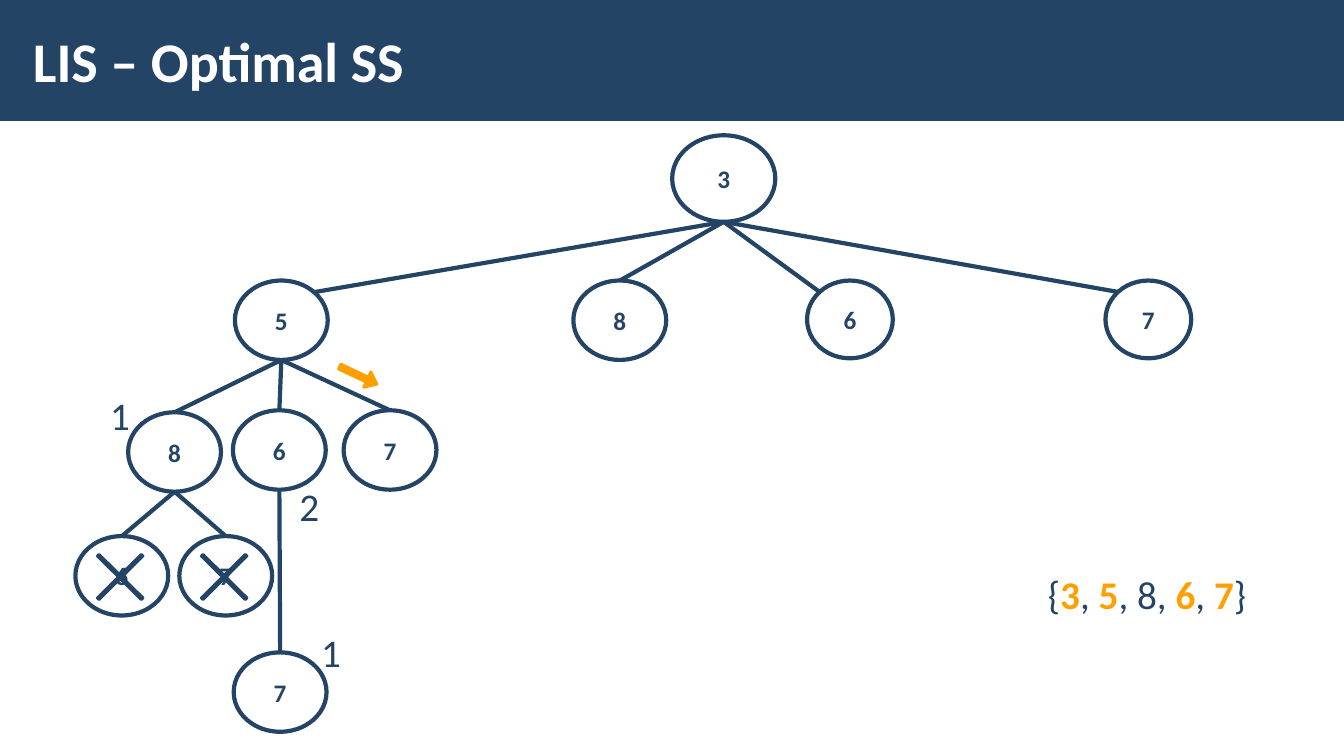
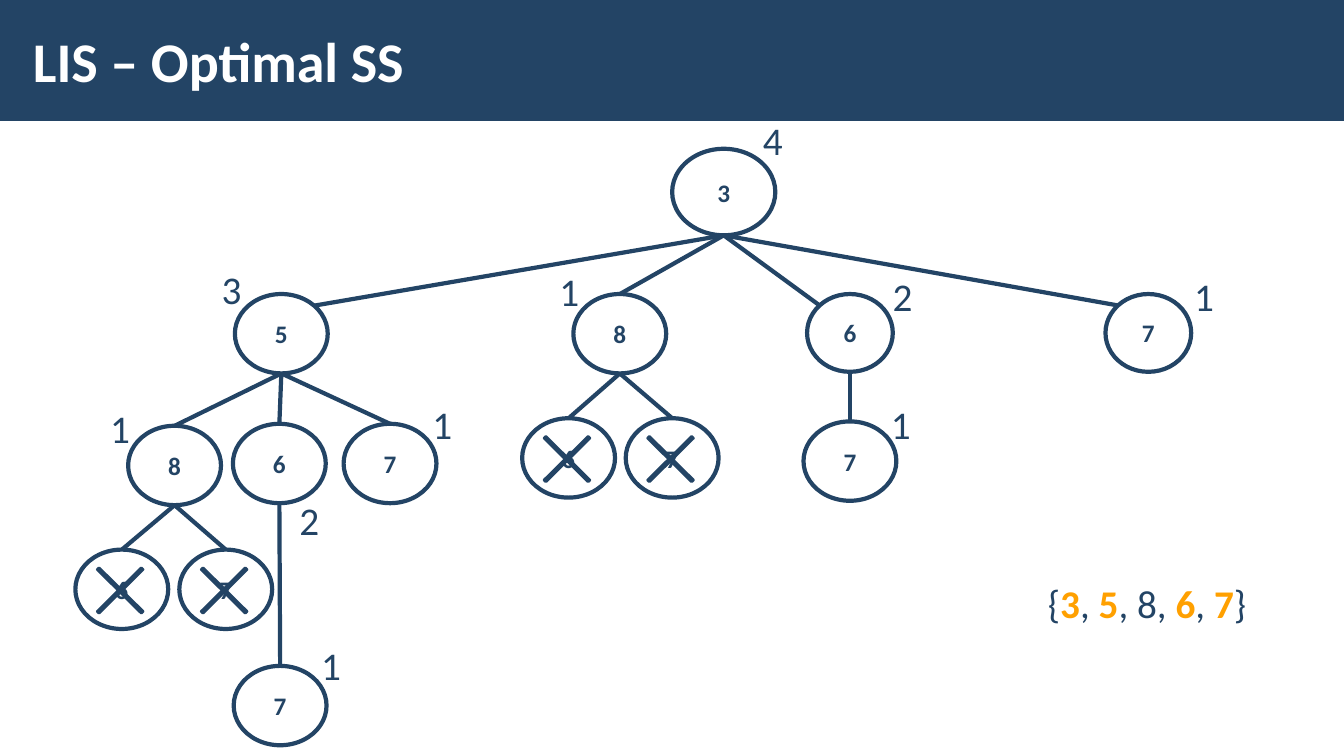
"""Build two slides that trace a longest increasing subsequence tree."""
from math import sqrt

from lxml.etree import SubElement
from pptx import Presentation
from pptx.dml.color import RGBColor
from pptx.enum.shapes import MSO_CONNECTOR, MSO_SHAPE
from pptx.enum.text import MSO_ANCHOR, PP_ALIGN
from pptx.oxml.ns import qn
from pptx.util import Cm, Pt

NAVY, ORANGE, WHITE = "234465", "FFA000", "FFFFFF"
FONT = "Calibri"
TITLE = "LIS – Optimal SS"
SEQUENCE = [("{", False), ("3", True), (", ", False), ("5", True), (", 8, ", False),
            ("6", True), (", ", False), ("7", True), ("}", False)]

ROOT, MID, NODE = (2.6, 2.18), (2.16, 1.96), (2.34, 2)
TOP, TOP_LEFT, TOP_RIGHT = (0, -1), (-1 / sqrt(2), -1 / sqrt(2)), (1 / sqrt(2), -1 / sqrt(2))

# name: value, centre x, centre y, size, parent, side the edge meets, crossed out
TREE = {
    "3": ("3", 18.24, 4.5, ROOT, None, None, False),
    "35": ("5", 7.09, 8.07, NODE, "3", TOP_RIGHT, False),
    "38": ("8", 15.62, 8.07, NODE, "3", TOP, False),
    "36": ("6", 21.42, 8.05, MID, "3", TOP_LEFT, False),
    "37": ("7", 28.94, 8.05, MID, "3", TOP_LEFT, False),
    "358": ("8", 4.4, 11.39, NODE, "35", TOP, False),
    "356": ("6", 7.04, 11.34, NODE, "35", TOP, False),
    "357": ("7", 9.83, 11.34, NODE, "35", TOP, False),
    "3586": ("6", 3.07, 14.51, NODE, "358", TOP, True),
    "3587": ("7", 5.69, 14.51, NODE, "358", TOP, True),
    "3567": ("7", 7.06, 17.44, NODE, "356", TOP, False),
}
BRANCHES = {
    "386": ("6", 14.33, 11.2, NODE, "38", TOP, True),
    "387": ("7", 16.94, 11.2, NODE, "38", TOP, True),
    "367": ("7", 21.42, 11.28, NODE, "36", TOP, False),
}
LENGTHS = {"358": ("1", -1.52, -0.94), "3567": ("1", 1.14, -1.02), "356": ("2", 0.61, 1.42)}
MORE_LENGTHS = {
    "357": ("1", 1.17, -0.99), "35": ("3", -1.4, -1.14), "38": ("1", -1.42, -1.09),
    "367": ("1", 1.14, -0.94), "36": ("2", 1.18, -0.94), "37": ("1", 1.26, -0.94),
    "3": ("4", 1.09, -1.31),
}
SLIDES = [
    {"nodes": TREE, "lengths": LENGTHS, "shift": 0, "sequence_top": 14.25, "arrow": (9.03, 9.46)},
    {"nodes": TREE | BRANCHES, "lengths": LENGTHS | MORE_LENGTHS, "shift": 0.34,
     "sequence_top": 14.48, "arrow": None},
]


def rgb(color):
    """Return the colour of a hex string."""
    return RGBColor.from_string(color)


def write(shape, runs, size, color=NAVY, bold=False, align=PP_ALIGN.LEFT,
          anchor=MSO_ANCHOR.TOP, inset=(0.25, 0.13)):
    """Write a string, or (text, highlighted) runs, into a shape."""
    tf = shape.text_frame
    tf.word_wrap = True
    tf.vertical_anchor = anchor
    tf.margin_left = tf.margin_right = Cm(inset[0])
    tf.margin_top = tf.margin_bottom = Cm(inset[1])
    p = tf.paragraphs[0]
    p.alignment = align
    for text, marked in [(runs, False)] if isinstance(runs, str) else runs:
        r = p.add_run()
        r.text = text
        r.font.name, r.font.size = FONT, Pt(size)
        r.font.bold = bold or marked
        r.font.color.rgb = rgb(ORANGE if marked else color)


def add_shape(s, kind, cx, cy, w, h, fill, line=None, width=2):
    """Add a filled preset shape around a centre."""
    sp = s.shapes.add_shape(kind, Cm(cx - w / 2), Cm(cy - h / 2), Cm(w), Cm(h))
    sp.shadow.inherit = False
    sp.fill.solid()
    sp.fill.fore_color.rgb = rgb(fill)
    if line:
        sp.line.color.rgb = rgb(line)
        sp.line.width = Pt(width)
    else:
        sp.line.fill.background()
    return sp


def add_text(s, x, y, w, h, runs, size, **fmt):
    """Add a text box."""
    write(s.shapes.add_textbox(Cm(x), Cm(y), Cm(w), Cm(h)), runs, size, **fmt)


def add_node(s, value, cx, cy, size, crossed):
    """Add a tree node, with a cross over it when it is ruled out."""
    sp = add_shape(s, MSO_SHAPE.OVAL, cx, cy, *size, WHITE, NAVY, 3)
    color = sp.fill._xPr.find(qn("a:solidFill"))[0]
    SubElement(color, qn("a:alpha"), val="50000")
    write(sp, value, 18, bold=True, align=PP_ALIGN.CENTER,
          anchor=MSO_ANCHOR.MIDDLE, inset=(0, 0.1))
    if crossed:
        cross = add_shape(s, MSO_SHAPE.MATH_MULTIPLY, cx - 0.04, cy + 0.03, 2.13, 2.11, NAVY, NAVY)
        cross.adjustments[0] = 0.028


def add_edge(s, start, end):
    """Add a straight line between two points."""
    cx = s.shapes.add_connector(MSO_CONNECTOR.STRAIGHT, *map(Cm, start + end))
    cx.line.color.rgb = rgb(NAVY)
    cx.line.width = Pt(3)
    SubElement(cx._element.spPr, qn("a:effectLst"))


def add_tree(s, nodes, lengths, shift):
    """Draw the edges, nodes and length labels, moved down by shift."""
    for value, cx, cy, (w, h), parent, side, crossed in nodes.values():
        cy += shift
        if parent:
            _, px, py, (_, ph), *_ = nodes[parent]
            add_edge(s, (px, py + shift + ph / 2),
                     (cx + side[0] * w / 2, cy + side[1] * h / 2))
        add_node(s, value, cx, cy, (w, h), crossed)
    w, h = 0.71, 1.45
    for name, (length, dx, dy) in lengths.items():
        _, cx, cy, *_ = nodes[name]
        add_text(s, cx + dx - w / 2, cy + shift + dy - h / 2, w, h, length, 28)


def add_base(prs):
    """Add a slide with the title band."""
    s = prs.slides.add_slide(prs.slide_layouts[6])
    w, h = prs.slide_width.cm, 3.05
    add_shape(s, MSO_SHAPE.RECTANGLE, w / 2, h / 2, w, h, NAVY)
    add_text(s, 0.53, 0.28, 27, 2.46, TITLE, 40, color=WHITE, bold=True,
             anchor=MSO_ANCHOR.MIDDLE, inset=(0.3, 0.1))
    return s


def main():
    """Build and save the presentation."""
    prs = Presentation()
    prs.slide_width, prs.slide_height = Cm(33.87), Cm(19.05)
    for page in SLIDES:
        s = add_base(prs)
        add_tree(s, page["nodes"], page["lengths"], page["shift"])
        add_text(s, 26.16, page["sequence_top"], 6.1, 1.45, SEQUENCE, 28)
        if page["arrow"]:
            arrow = add_shape(s, MSO_SHAPE.RIGHT_ARROW, *page["arrow"], 1.04, 0.43, ORANGE, ORANGE)
            arrow.adjustments[0], arrow.adjustments[1] = 0.32, 0.63
            arrow.rotation = 25.2
    prs.save("out.pptx")


if __name__ == "__main__":
    main()
